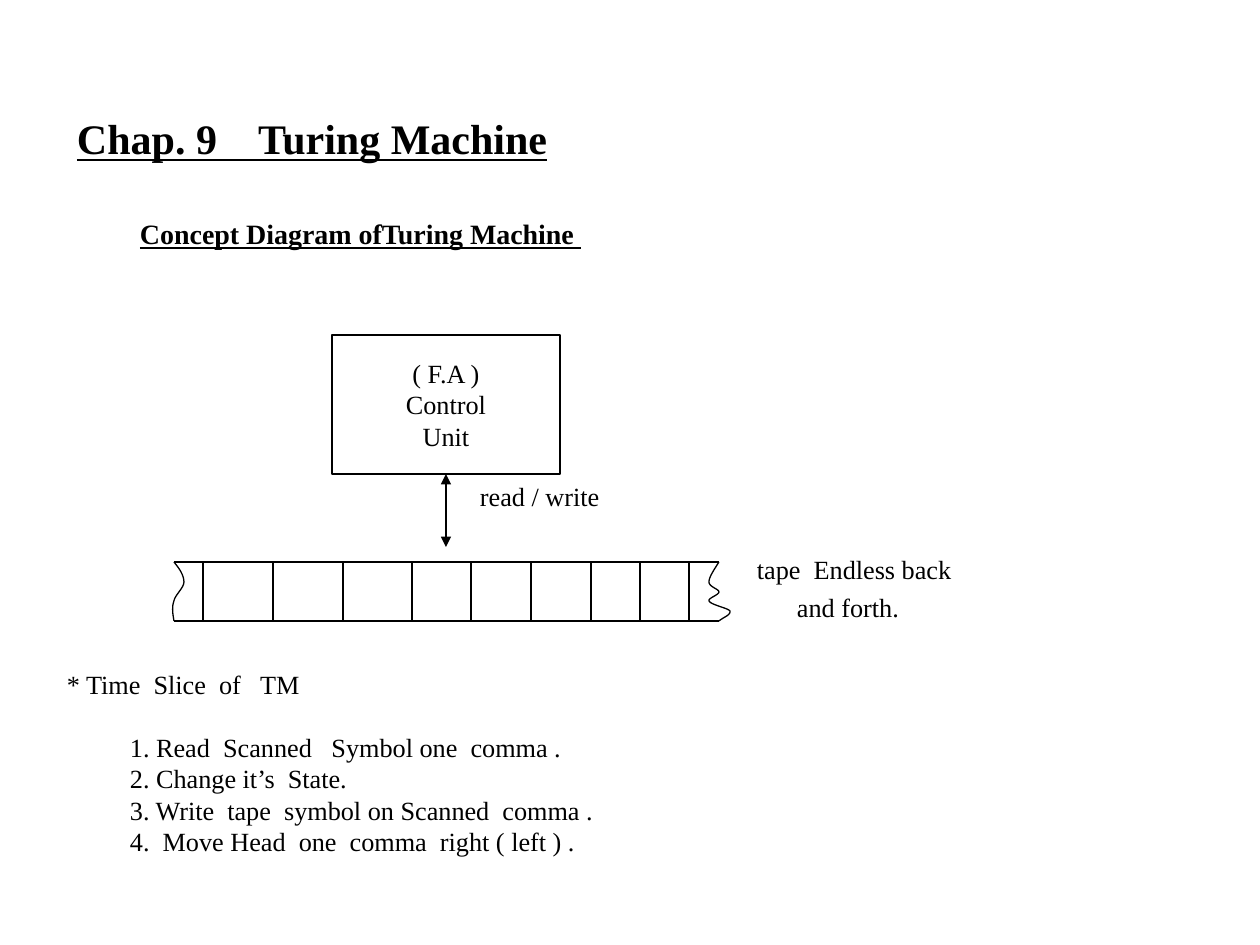
from itertools import accumulate

from lxml.etree import SubElement
from pptx import Presentation
from pptx.dml.color import RGBColor as Rgb
from pptx.enum.shapes import MSO_CONNECTOR as Link, MSO_SHAPE as Preset
from pptx.enum.text import MSO_ANCHOR as Anchor, PP_ALIGN as Align
from pptx.oxml.ns import qn
from pptx.util import Pt

PX = 914400 / 126
COLORS = {"ink": "000000", "paper": "FFFFFF"}
BODY = {"name": "Times New Roman", "size": Pt(15)}
TITLE = {**BODY, "size": Pt(24), "bold": True, "underline": True}
SUBTITLE = {**TITLE, "size": Pt(16)}
FRAME = {"margin_left": 0, "margin_top": 0, "margin_right": 0, "margin_bottom": 0}

TAPE_LEFT, TAPE_TOP, TAPE_RIGHT, TAPE_BOTTOM = 203, 562, 689, 621
TORN_LEFT, TORN_RIGHT = 174, 719
CELL_WIDTHS = [70, 70, 69, 59, 60, 60, 49]
LEFT_TEAR = [
    (174, 562), (179, 568), (184, 575), (184, 582), (184, 588),
    (175, 595), (174, 601), (171, 609), (174, 619), (174, 621),
]
RIGHT_TEAR = [
    (719, 562), (714, 570), (709, 577), (709, 582), (709, 587), (719, 589),
    (719, 592), (719, 595), (708, 598), (709, 601), (711, 605), (728, 608),
    (730, 611), (731, 615), (724, 617), (719, 621),
]
STEPS = [
    "1. Read  Scanned   Symbol one  comma .",
    "2. Change it’s  State.",
    "3. Write  tape  symbol on Scanned  comma .",
    "4.  Move Head  one  comma  right ( left ) .",
]


def emu(*lengths):
    """Turn px lengths into EMU."""
    return [round(length * PX) for length in lengths]


def apply(target, values):
    """Set every attribute named in a dict of format values."""
    for key, value in values.items():
        setattr(target, key, value)


def ink_line(line):
    """Give an outline the thin ink stroke."""
    line.color.rgb = Rgb.from_string(COLORS["ink"])
    line.width = Pt(0.75)


def write(frame, lines, font=BODY, leading=1.2, layout=None):
    """Fill a text frame with equally formatted paragraphs."""
    apply(frame, FRAME)
    for number, line in enumerate(lines):
        paragraph = frame.add_paragraph() if number else frame.paragraphs[0]
        paragraph.text = line
        apply(paragraph, {"line_spacing": Pt(font["size"].pt * leading), **(layout or {})})
        apply(paragraph.font, font)
        paragraph.font.color.rgb = Rgb.from_string(COLORS["ink"])
    return frame.paragraphs


def indent(paragraph, margin, first=0):
    """Set the left margin and first-line indent of a paragraph."""
    for key, length in zip(("marL", "indent"), emu(margin, first)):
        paragraph._p.get_or_add_pPr().set(key, str(length))


def add_text(slide, box, lines, **style):
    """Add a wrapping text box and return its paragraphs."""
    frame = slide.shapes.add_textbox(*emu(*box)).text_frame
    frame.word_wrap = True
    return write(frame, lines, **style)


def add_box(slide, box):
    """Add an outlined paper-coloured rectangle."""
    rectangle = slide.shapes.add_shape(Preset.RECTANGLE, *emu(*box))
    rectangle.shadow.inherit = False
    rectangle.fill.solid()
    rectangle.fill.fore_color.rgb = Rgb.from_string(COLORS["paper"])
    ink_line(rectangle.line)
    return rectangle


def add_line(slide, start, end):
    """Add a straight thin line between two points."""
    line = slide.shapes.add_connector(Link.STRAIGHT, *emu(*start, *end))
    ink_line(line.line)
    SubElement(line._element.spPr, qn("a:effectLst"))
    return line


def add_arrowheads(line):
    """Put a triangle head on both ends of a line."""
    stroke = line.line._get_or_add_ln()
    for end in ("a:headEnd", "a:tailEnd"):
        SubElement(stroke, qn(end), type="triangle")


def bezier(controls, t):
    """Return the point at t on a cubic curve."""
    weights = ((1 - t) ** 3, 3 * t * (1 - t) ** 2, 3 * t * t * (1 - t), t ** 3)
    return emu(*(sum(w * c for w, c in zip(weights, axis)) for axis in zip(*controls)))


def add_tear(slide, controls):
    """Draw a torn tape edge through chained cubic curves."""
    points = [
        bezier(controls[first:first + 4], step / 12)
        for first in range(0, len(controls) - 1, 3)
        for step in range(1, 13)
    ]
    builder = slide.shapes.build_freeform(*emu(*controls[0]))
    builder.add_line_segments(points, close=False)
    tear = builder.convert_to_shape()
    tear.shadow.inherit = False
    tear.fill.background()
    ink_line(tear.line)


def add_control_unit(slide):
    """Add the control unit and its read/write head."""
    control = add_box(slide, (332, 335, 228, 139))
    write(control.text_frame, ["( F.A )", "Control", "Unit"], layout={"alignment": Align.CENTER})
    control.text_frame.vertical_anchor = Anchor.MIDDLE
    head = add_line(slide, (446, 474), (446, 547))
    head.begin_connect(control, 2)
    add_arrowheads(head)
    add_text(slide, (480, 480, 150, 32), ["read / write"])


def add_tape(slide):
    """Add the tape with its cells, torn ends and caption."""
    add_box(slide, (TAPE_LEFT, TAPE_TOP, TAPE_RIGHT - TAPE_LEFT, TAPE_BOTTOM - TAPE_TOP))
    for divider in accumulate(CELL_WIDTHS, initial=TAPE_LEFT):
        if divider > TAPE_LEFT:
            add_line(slide, (divider, TAPE_TOP), (divider, TAPE_BOTTOM))
    for side, torn in ((TAPE_LEFT, TORN_LEFT), (TAPE_RIGHT, TORN_RIGHT)):
        for edge in (TAPE_TOP, TAPE_BOTTOM):
            add_line(slide, (side, edge), (torn, edge))
    for tear in (LEFT_TEAR, RIGHT_TEAR):
        add_tear(slide, tear)
    caption = add_text(slide, (757, 547, 227, 76), ["tape  Endless back and forth."], leading=1.44)
    indent(caption[0], 40 , -40)


def add_time_slice(slide):
    """Add the steps of one time slice."""
    _, *steps = add_text(slide, (67, 668, 605, 190), ["* Time  Slice  of   TM", *STEPS])
    for step in steps:
        indent(step, 63)
    steps[0].space_before = Pt(18)


def main():
    """Build and save the slide."""
    deck = Presentation()
    deck.slide_width, deck.slide_height = emu(1260, 945)
    slide = deck.slides.add_slide(deck.slide_layouts[6])
    add_text(slide, (77, 113, 1100, 52), ["Chap. 9    Turing Machine"], font=TITLE)
    add_text(slide, (140, 217, 1000, 36), ["Concept Diagram ofTuring Machine "], font=SUBTITLE)
    add_control_unit(slide)
    add_tape(slide)
    add_time_slice(slide)
    deck.save("out.pptx")


if __name__ == "__main__":
    main()
